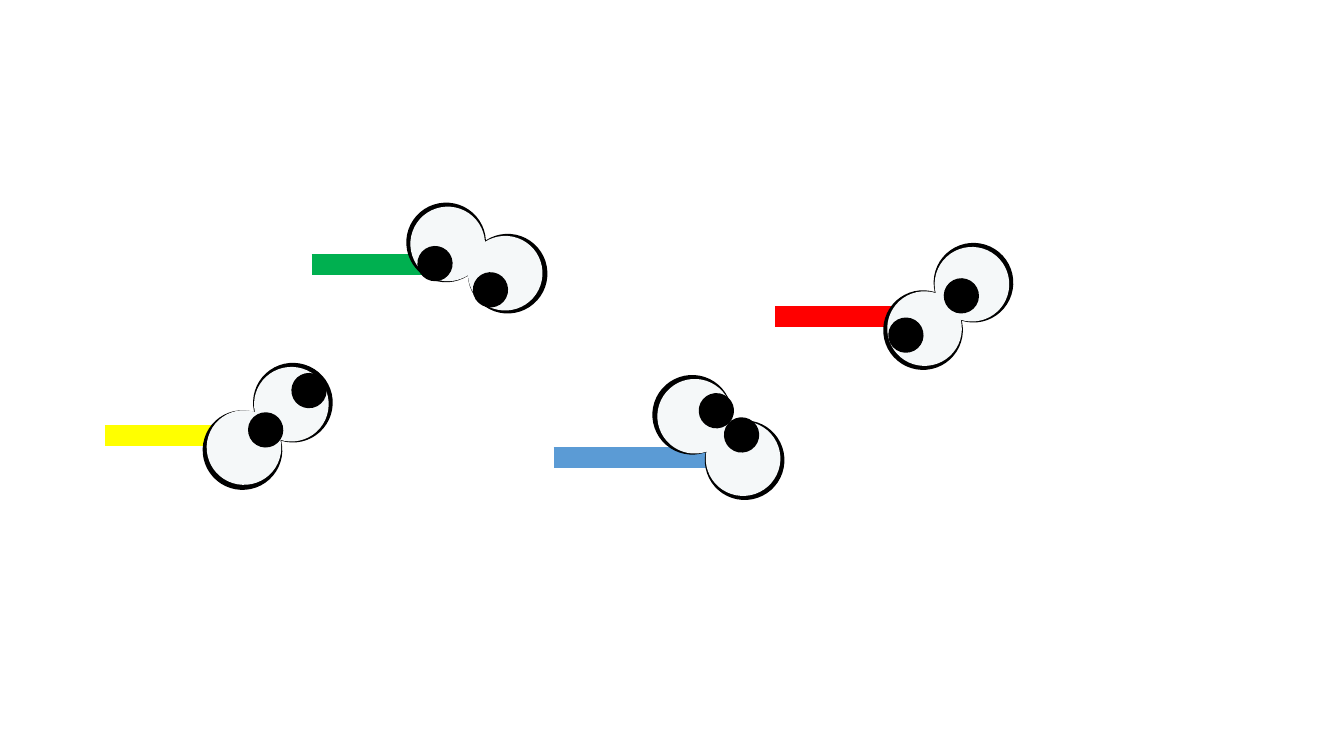
"""Build a slide of four coloured tails, each ending in a pair of cartoon eyes."""
from collections import namedtuple

from lxml import etree
from pptx import Presentation
from pptx.dml.color import RGBColor
from pptx.enum.shapes import MSO_CONNECTOR as Connector, MSO_SHAPE as Shape
from pptx.oxml.ns import qn
from pptx.util import Inches, Pt

Creature = namedtuple("Creature", "colour tail rotation rims whites pupils")
CREATURES = [
    Creature("blue", (5.49, 4.54), 41,
             [(6.47, 3.72), (6.99, 4.17)],
             [(6.52, 3.76), (7.0, 4.18)],
             [(6.93, 3.9), (7.18, 4.14)]),
    Creature("yellow", (1.04, 4.32), 317.4,
             [(2.01, 4.07), (2.51, 3.6)],
             [(2.05, 4.07), (2.52, 3.64)],
             [(2.46, 4.09), (2.89, 3.7)]),
    Creature("green", (3.09, 2.62), 206.8,
             [(4.64, 2.32), (4.03, 2.01)],
             [(4.64, 2.34), (4.07, 2.05)],
             [(4.69, 2.7), (4.14, 2.44)]),
    Creature("red", (7.69, 3.14), 317.4,
             [(8.76, 2.88), (9.26, 2.41)],
             [(8.8, 2.89), (9.27, 2.45)],
             [(8.81, 3.15), (9.36, 2.76)]),
]

THEME = {
    "blue": RGBColor(0x5B, 0x9B, 0xD5),
    "yellow": RGBColor(0xFF, 0xFF, 0x00),
    "green": RGBColor(0x00, 0xB0, 0x50),
    "red": RGBColor(0xFF, 0x00, 0x00),
    "black": RGBColor(0x00, 0x00, 0x00),
    "white": RGBColor(0xF5, 0xF8, 0xF9),
}
TAIL_LENGTH, TAIL_WEIGHT = 1.645, 15
RIM, WHITE, PUPIL = 0.79, 0.74, 0.35


def add_tail(shapes, start, colour):
    left, top = start
    tail = shapes.add_connector(Connector.STRAIGHT, Inches(left), Inches(top),
                                Inches(left + TAIL_LENGTH), Inches(top))
    tail.line.color.rgb = THEME[colour]
    tail.line.width = Pt(TAIL_WEIGHT)
    etree.SubElement(tail._element.spPr, qn("a:effectLst"))


def add_circle(shapes, corner, diameter, colour, rotation):
    left, top = corner
    circle = shapes.add_shape(Shape.OVAL, Inches(left), Inches(top),
                              Inches(diameter), Inches(diameter))
    circle.rotation = rotation
    circle.shadow.inherit = False
    circle.fill.solid()
    circle.fill.fore_color.rgb = THEME[colour]
    circle.line.fill.background()


def add_creature(slide, creature):
    shapes = slide.shapes.add_group_shape().shapes
    add_tail(shapes, creature.tail, creature.colour)
    layers = [(creature.rims, RIM, "black"),
              (creature.whites, WHITE, "white"),
              (creature.pupils, PUPIL, "black")]
    for corners, diameter, colour in layers:
        for corner in corners:
            add_circle(shapes, corner, diameter, colour, creature.rotation)


def main():
    presentation = Presentation()
    presentation.slide_width = Inches(13.33)
    presentation.slide_height = Inches(7.5)
    slide = presentation.slides.add_slide(presentation.slide_layouts[6])
    for creature in CREATURES:
        add_creature(slide, creature)
    presentation.save("out.pptx")


if __name__ == "__main__":
    main()
